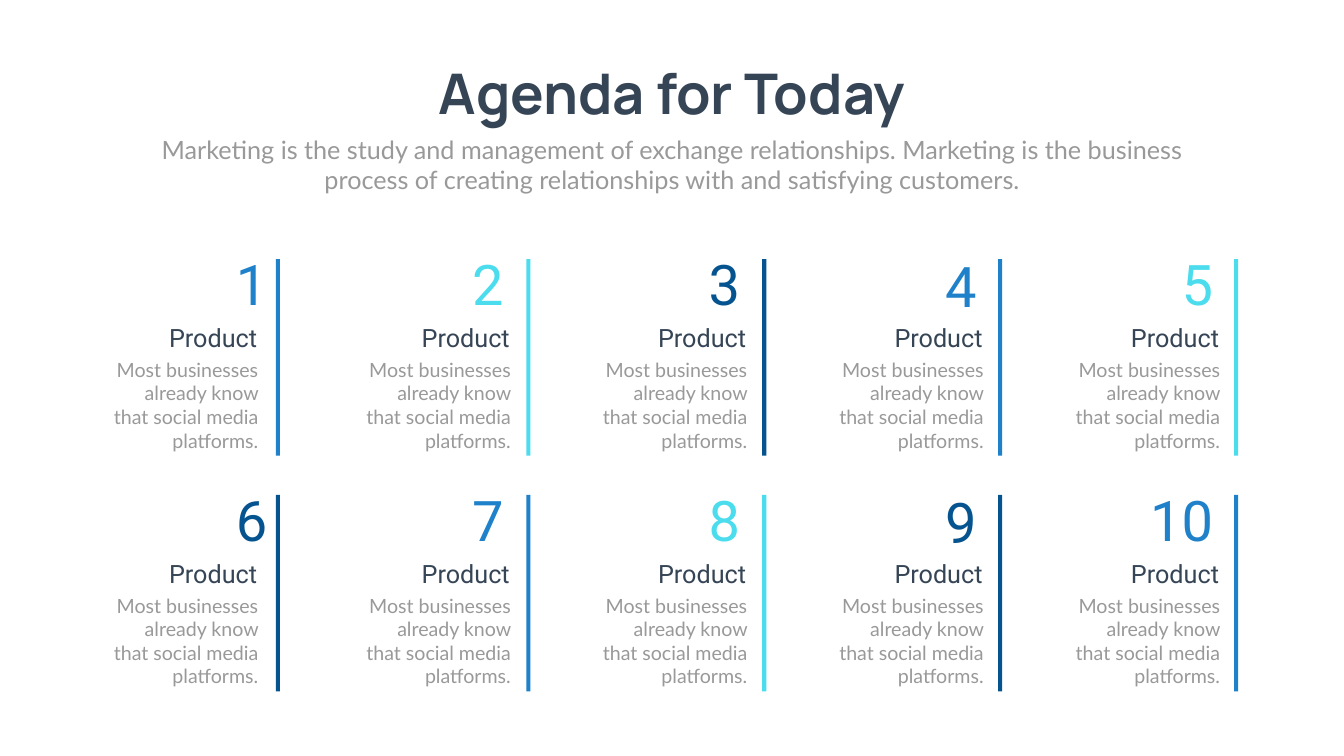
from pptx import Presentation, util as u
from pptx.dml.color import RGBColor
from pptx.enum import shapes, text

TITLE = "Agenda for Today"
SUBTITLE = ("Marketing is the study and management of exchange relationships. "
            "Marketing is the business process of creating relationships with "
            "and satisfying customers.")
LABEL = "Product"
BODY = "Most businesses already know that social media platforms."
ROWS = [
    [("1", "blue"), ("2", "cyan"), ("3", "navy"), ("4", "blue"), ("5", "cyan")],
    [("6", "navy"), ("7", "blue"), ("8", "cyan"), ("9", "navy"), ("10", "blue")],
]

THEME = {
    "color": {"ink": "364556", "grey": "999999", "blue": "1E81CA",
              "cyan": "4BDCED", "navy": "06548F"},
    # role: font, size, bold
    "type": {"title": ("Manrope", 80, True), "subtitle": ("Lato", 36, False),
             "number": ("Roboto", 80, False), "label": ("Roboto", 36, False),
             "body": ("Lato", 28, False)},
}

ROW_TOP, ROW_STEP = 4.9, 4.68
NUMBER_X, COL_STEP = 2.52, 4.69
BODY_X = [2.1] + [7.11 + COL_STEP * i for i in range(4)]
BAR_X = [5.47] + [10.44 + 4.68 * i for i in range(4)]
LABEL_OVERHANG = [0, 0.59, 0, 0.58, 0.58]  # label reaches this far left of body
NUMBER_DROP = [0, 0, 0, 0.05, 0]


def rgb(name):
    return RGBColor.from_string(THEME["color"][name])


def add_text(s, box, content, role, color, align, wrap=True):
    tf = s.shapes.add_textbox(*map(u.Inches, box)).text_frame
    tf.word_wrap = wrap
    p = tf.paragraphs[0]
    p.alignment = align
    r = p.add_run()
    r.text = content
    font, size, bold = THEME["type"][role]
    r.font.name, r.font.size, r.font.bold = font, u.Pt(size), bold
    r.font.color.rgb = rgb(color)


def add_bar(s, x, y, color):
    sp = s.shapes.add_shape(shapes.MSO_SHAPE.RECTANGLE,
                            *map(u.Inches, (x, y, 0.08, 3.9)))
    sp.shadow.inherit = False
    sp.fill.solid()
    sp.fill.fore_color.rgb = rgb(color)
    sp.line.fill.background()


def add_item(s, col, top, number, color):
    right = text.PP_ALIGN.RIGHT
    x, over = BODY_X[col], LABEL_OVERHANG[col]
    add_text(s, (NUMBER_X + COL_STEP * col, top + NUMBER_DROP[col], 2.88, 1.45),
             number, "number", color, right)
    add_text(s, (x - over, top + 1.45, 3.1 + over, 0.71),
             LABEL, "label", "ink", right)
    add_text(s, (x, top + 2.15, 3.12, 1.99), BODY, "body", "grey", right)
    add_bar(s, BAR_X[col], top + 0.24, color)


def main():
    prs = Presentation()
    prs.slide_width, prs.slide_height = u.Inches(26.66), u.Inches(15)
    s = prs.slides.add_slide(prs.slide_layouts[6])
    center = text.PP_ALIGN.CENTER
    add_text(s, (8.12, 1.12, 10.42, 1.45), TITLE, "title", "ink", center, wrap=False)
    add_text(s, (2.92, 2.61, 20.82, 1.31), SUBTITLE, "subtitle", "grey", center)
    for row, items in enumerate(ROWS):
        for col, (number, color) in enumerate(items):
            add_item(s, col, ROW_TOP + ROW_STEP * row, number, color)
    prs.save("out.pptx")


if __name__ == "__main__":
    main()
